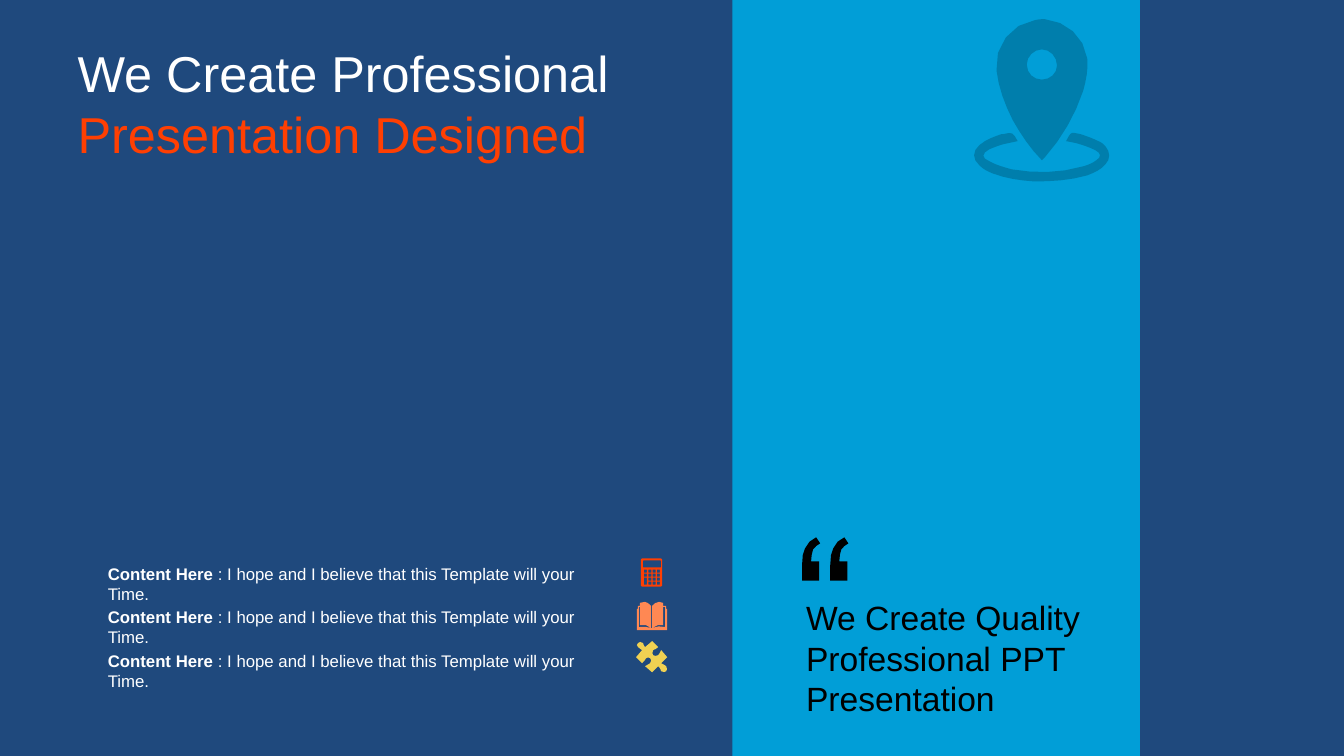
from collections import namedtuple
from lxml.etree import SubElement
from pptx import Presentation
from pptx.dml.color import RGBColor
from pptx.enum.shapes import MSO_SHAPE
from pptx.enum.text import MSO_ANCHOR, MSO_AUTO_SIZE, PP_ALIGN
from pptx.oxml.ns import qn
from pptx.util import Pt

NAVY = RGBColor(0x1F, 0x49, 0x7D)
BLUE = RGBColor(0x01, 0x9E, 0xD7)
WHITE = RGBColor(0xFF, 0xFF, 0xFF)
BLACK = RGBColor(0, 0, 0)
RED = RGBColor(0xFF, 0x3F, 0x02)
ORANGE = RGBColor(0xFF, 0x88, 0x53)
YELLOW = RGBColor(0xF0, 0xD1, 0x52)

Box = namedtuple("Box", "left top width height")
STEP = 0.72  # points per unit of the icon outlines

PUZZLE = """M 2 2 C 1 3 0 5 2 6 C 3 8 5 7 6 9 L 0 16 L 6 22 C 9 20 8 19 10 17
C 11 16 13 16 14 17 C 15 18 16 20 14 22 C 12 24 11 23 9 25 L 16 31 L 22 25
C 25 27 23 27 25 30 C 27 31 29 31 30 30 C 31 29 31 27 30 25 C 29 23 27 24 25 22
L 31 16 L 25 9 C 23 11 24 13 22 14 C 20 15 18 15 17 14 C 16 13 16 11 17 9
C 19 7 20 9 22 6 L 16 0 L 9 6 C 7 4 8 4 7 2 C 5 0 3 1 2 2"""
BOOK = """M 15 26 L 14 26 C 10 25 7 24 2 25 L 2 5 L 3 5 L 3 23 C 7 22 11 23 14 26
L 14 4 C 12 2 10 0 8 0 C 6 0 5 1 3 1 L 3 4 L 1 4 L 1 7 L 0 7 L 0 28 L 30 28
L 30 7 L 29 7 L 29 4 L 26 4 L 26 1 C 25 1 23 0 22 0 C 19 0 17 2 15 4 L 15 26
C 19 23 23 22 26 23 L 26 5 L 28 5 L 28 25 C 23 23 20 25 15 26"""
PIN = """M 100 113 L 105 114 C 111 116 117 118 123 121
C 126 122 128 124 130 126 C 135 132 135 139 130 144 C 125 150 119 152 112 155
C 95 160 77 161 59 161 C 45 160 31 158 18 153 C 13 151 9 149 5 145
C -2 139 -2 131 5 125 C 12 119 19 117 27 114 L 29 114 C 38 112 38 112 43 121
L 29 124 C 25 125 20 127 15 129 C 7 133 7 138 15 141
C 22 145 30 147 37 149 C 61 153 84 153 108 146 C 112 145 117 143 121 140
C 126 137 126 133 120 130 C 114 127 108 125 101 123 L 91 121
C 95 114 95 112 100 113
M 67 30 C 59 30 52 37 52 45 C 52 54 59 60 67 60 C 75 60 82 54 82 46
C 82 37 75 30 67 30
M 70 0 C 91 2 109 17 112 39 C 113 50 111 60 108 71 C 100 95 87 118 70 137
L 67 140 C 55 128 46 114 38 100 C 30 84 24 68 22 51 C 19 27 37 4 60 1
C 64 0 67 0 70 0"""
MARK = """M 14 0 L 18 6 C 15 7 13 10 11 12 C 10 15 9 19 9 24 L 17 24 L 17 43
L 0 43 L 0 28 C 0 20 1 14 3 11 C 5 6 9 2 14 0"""


def trace(path, steps=2):
    """Turn M, L and C commands into contours, with curves as short lines."""
    loops, words = [], iter(path.split())
    for word in words:
        count = 3 if word == "C" else 1
        spots = [(float(next(words)), float(next(words))) for _ in range(count)]
        if word == "M":
            loops.append(spots)
        elif word == "L":
            loops[-1] += spots
        else:
            knots = [loops[-1][-1], *spots]
            for t in (n / steps for n in range(1, steps + 1)):
                parts = ((1 - t) ** 3, 3 * t * (1 - t) ** 2, 3 * t * t * (1 - t), t ** 3)
                loops[-1].append(tuple(
                    sum(p * k[axis] for p, k in zip(parts, knots)) for axis in (0, 1)))
    return loops


def panel(x, y, w, h, cut=0):
    """Give the contour of a rectangle, with its corners cut if asked."""
    e, b = x + w, y + h
    if not cut:
        return [(x, y), (e, y), (e, b), (x, b)]
    return [(x + cut, y), (e - cut, y), (e, y + cut), (e, b - cut),
            (e - cut, b), (x + cut, b), (x, b - cut), (x, y + cut)]


def count_pad():
    """Give the contours of the calculator: case, screen and keys."""
    loops = [panel(0, 0, 21, 28, 1), panel(2, 2, 18, 7, 0.5)]
    for col in range(4):
        for row in range(4):
            if col == 0 and row == 3:
                continue
            tall = 7 if col == 0 and row == 2 else 3
            loops.append(panel(3 + col * 4.33, 11 + row * 4, 3, tall))
    return loops


def paint(shape, color):
    shape.shadow.inherit = False
    shape.fill.solid()
    shape.fill.fore_color.rgb = color
    shape.line.fill.background()


def draw(slide, loops, left, top, color):
    def place(spot):
        return Pt(left + spot[0] * STEP), Pt(top + spot[1] * STEP)

    pen = slide.shapes.build_freeform(*place(loops[0][0]), scale=1.0)
    for n, loop in enumerate(loops):
        if n:
            pen.move_to(*place(loop[0]))
        pen.add_line_segments([place(spot) for spot in loop[1:]], close=True)
    shape = pen.convert_to_shape()
    paint(shape, color)
    return shape


def fit(shape, box, pads, anchor=MSO_ANCHOR.TOP):
    """Set place, insets and wrapping, and hand back the text frame."""
    shape.left, shape.top, shape.width, shape.height = map(Pt, box)
    frame = shape.text_frame
    frame.auto_size = MSO_AUTO_SIZE.NONE
    frame.word_wrap = True
    frame.vertical_anchor = anchor
    frame.margin_left, frame.margin_top, frame.margin_right, frame.margin_bottom = map(Pt, pads)
    return frame


def write(para, text, size, color, bold=False):
    run = para.add_run()
    run.text = text
    font = run.font
    font.name, font.size, font.bold = "Arial", Pt(size), bold
    font.color.rgb = color


def add_title(slide, box):
    frame = fit(slide.shapes.title, box, (3.6, 0, 2, 0))
    para = frame.paragraphs[0]
    para.alignment = PP_ALIGN.LEFT
    write(para, "We Create Professional ", 36, WHITE)
    write(para, "Presentation Designed", 36, RED)


def add_list(slide, box):
    frame = fit(slide.placeholders[1], box, (7.2, 3.6, 7.2, 3.6))
    icons = ((count_pad(), RED, 388, 0), (trace(BOOK), ORANGE, 385.2, 31),
             (trace(PUZZLE), YELLOW, 384.5, 59))
    for n, (loops, color, x, y) in enumerate(icons):
        para = frame.paragraphs[0] if n == 0 else frame.add_paragraph()
        props = para._p.get_or_add_pPr()
        props.set("marL", "0")
        props.set("indent", "0")
        SubElement(props, qn("a:buNone"))
        para.space_before = Pt(2.2 if n else 0)
        write(para, "Content Here ", 12, WHITE, True)
        write(para, ": I hope and I believe that this Template will your Time.", 12, WHITE)
        draw(slide, loops, box.left + x, box.top + y, color)


def add_band(slide, box):
    band = slide.shapes.add_shape(MSO_SHAPE.RECTANGLE, *map(Pt, box))
    paint(band, BLUE)
    pin = draw(slide, trace(PIN, 4), box.left + 172.8, box.top + 13.7, BLACK)
    tint = pin._element.spPr.find(qn("a:solidFill"))[0]
    SubElement(tint, qn("a:alpha")).set("val", "20000")

    left = box.left + 49.7
    mark = trace(MARK)
    twin = [(x + 28, y) for x, y in mark[0]]
    draw(slide, [*mark, twin], left, box.top + 383.8, BLACK)
    quote = Box(left, box.top + 426.2, 230.4, 87.1)
    label = slide.shapes.add_textbox(*map(Pt, quote))
    frame = fit(label, quote, (2.9, 0, 2.9, 0), MSO_ANCHOR.MIDDLE)
    write(frame.paragraphs[0], "We Create Quality", 24, BLACK)
    write(frame.add_paragraph(), "Professional PPT Presentation", 24, BLACK)


def main():
    deck = Presentation()
    deck.slide_width, deck.slide_height = Pt(960), Pt(540)
    slide = deck.slides.add_slide(deck.slide_layouts[1])
    slide.background.fill.solid()
    slide.background.fill.fore_color.rgb = NAVY
    add_band(slide, Box(523.2, 0, 291.1, 540))
    add_title(slide, Box(51.8, 30.2, 419, 87.1))
    add_list(slide, Box(69.8, 398.9, 376, 100))
    deck.save("out.pptx")


if __name__ == "__main__":
    main()
